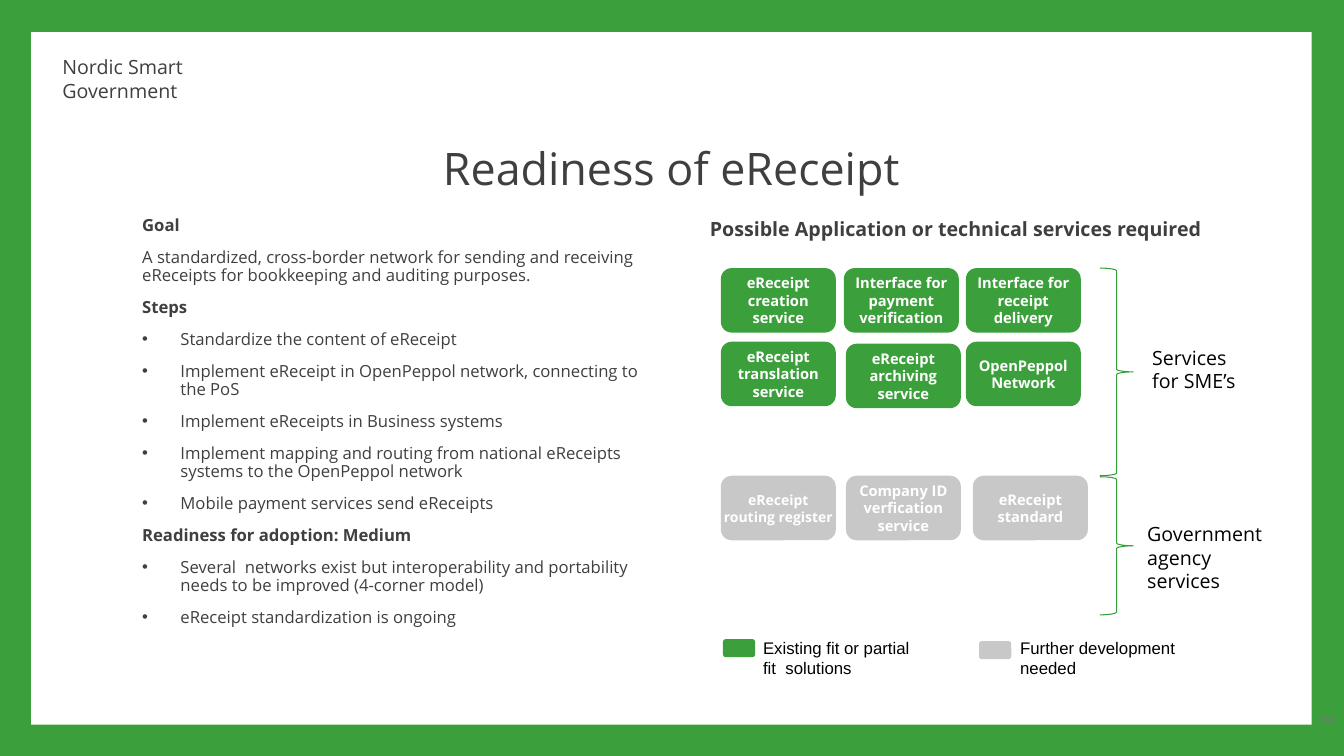
"""Build the eReceipt readiness slide."""
from lxml.etree import SubElement
from pptx import Presentation
from pptx.dml.color import RGBColor
from pptx.enum.shapes import MSO_SHAPE as SHAPE
from pptx.enum.text import MSO_ANCHOR as ANCHOR, MSO_AUTO_SIZE as FIT, PP_ALIGN as ALIGN
from pptx.oxml.ns import qn
from pptx.util import Pt

PX = 9144
GREEN = RGBColor(0x3B, 0xA0, 0x3B)
BRACE = RGBColor(0x36, 0x9E, 0x36)
GREY = RGBColor(0xC8, 0xC8, 0xC8)
INK = RGBColor(0x3F, 0x3F, 0x3F)
NUMBER = RGBColor(0x76, 0x76, 0x76)
BLACK = RGBColor(0, 0, 0)
WHITE = RGBColor(0xFF, 0xFF, 0xFF)

LIST = [
    ("head", "Goal"),
    ("text", "A standardized, cross-border network for sending and receiving "
             "eReceipts for bookkeeping and auditing purposes."),
    ("head", "Steps"),
    ("bullet", "Standardize the content of eReceipt"),
    ("bullet", "Implement eReceipt in OpenPeppol network, connecting to the PoS"),
    ("bullet", "Implement eReceipts in Business systems"),
    ("bullet", "Implement mapping and routing from national eReceipts systems "
               "to the OpenPeppol network"),
    ("bullet", "Mobile payment services send eReceipts"),
    ("head", "Readiness for adoption: Medium"),
    ("bullet", "Several  networks exist but interoperability and portability "
               "needs to be improved (4-corner model)"),
    ("bullet", "eReceipt standardization is ongoing"),
]
SERVICES = [
    (715, 266, GREEN, 10.5, "eReceipt creation service"),
    (837, 266, GREEN, 10.5, "Interface for payment verification"),
    (958, 266, GREEN, 10.5, "Interface for receipt delivery"),
    (715, 339, GREEN, 10.5, "eReceipt translation service"),
    (839, 341, GREEN, 10.5, "eReceipt archiving service"),
    (958, 339, GREEN, 10.5, "OpenPeppol Network"),
    (715, 472, GREY, 10, "eReceipt\nrouting register"),
    (839, 472, GREY, 10.5, "Company ID verfication service"),
    (965, 472, GREY, 10.5, "eReceipt standard"),
]
GROUPS = [
    (266, 206, (1133, 338, 123, 57), "Services for SME’s"),
    (473, 137, (1128, 513, 154, 81), "Government agency services"),
]
LEGEND = [
    (717, 634, 747, GREEN, "Existing fit or partial\nfit  solutions"),
    (971, 636, 1002, GREY, "Further development needed"),
]


def emu(*lengths):
    """Turn px lengths into EMU."""
    return [n * PX for n in lengths]


def write(p, text, size=14, color=INK, bold=False, font="Open Sans", align=ALIGN.LEFT):
    """Fill a paragraph with formatted text, breaking lines at newlines."""
    p.alignment = align
    for i, line in enumerate(text.split("\n")):
        if i:
            p.add_line_break()
        r = p.add_run()
        r.text = line
        r.font.size, r.font.bold, r.font.name = Pt(size), bold, font
        r.font.color.rgb = color


def add_label(s, box, text, **fmt):
    """Add a wrapping text box."""
    tf = s.shapes.add_textbox(*emu(*box)).text_frame
    tf.word_wrap = True
    write(tf.paragraphs[0], text, **fmt)


def add_block(s, kind, box, fill=None, line=None):
    """Add a flat preset shape."""
    sp = s.shapes.add_shape(kind, *emu(*box))
    sp.shadow.inherit = False
    if fill is None:
        sp.fill.background()
    else:
        sp.fill.solid()
        sp.fill.fore_color.rgb = fill
    if line is None:
        sp.line.fill.background()
    else:
        sp.line.color.rgb, sp.line.width = line, Pt(0.75)
    return sp


def add_service(s, x, y, fill, size, text):
    """Add a service box with its name."""
    tf = add_block(s, SHAPE.ROUNDED_RECTANGLE, (x, y, 114, 64), fill).text_frame
    tf.margin_left = tf.margin_right = tf.margin_top = tf.margin_bottom = 0
    tf.vertical_anchor = ANCHOR.MIDDLE
    tf.word_wrap = "\n" not in text
    write(tf.paragraphs[0], text, size=size, color=WHITE, bold=True, align=ALIGN.CENTER)


def place(sp, box, anchor=ANCHOR.TOP):
    """Move a placeholder and return its text frame."""
    sp.left, sp.top, sp.width, sp.height = emu(*box)
    tf = sp.text_frame
    tf.auto_size, tf.vertical_anchor, tf.word_wrap = FIT.NONE, anchor, True
    return tf


def fill_list(tf, items, size, spacing):
    """Write headings, text and bullets into a body placeholder."""
    for i, (kind, text) in enumerate(items):
        p = tf.add_paragraph() if i else tf.paragraphs[0]
        p.space_before, p.line_spacing = Pt(10), spacing
        write(p, text, size=size, bold=kind == "head")
        bullet = kind == "bullet"
        pPr = p._p.get_or_add_pPr()
        margin, indent = emu(50, -38) if bullet else emu(12, 0)
        pPr.set("marL", str(margin))
        pPr.set("indent", str(indent))
        if bullet:
            SubElement(pPr, qn("a:buChar")).set("char", "•")
        else:
            SubElement(pPr, qn("a:buNone"))


def main():
    """Build and save the slide."""
    prs = Presentation()
    prs.slide_width, prs.slide_height = emu(1333, 750)
    s = prs.slides.add_slide(prs.slide_layouts[3])
    s.background.fill.solid()
    s.background.fill.fore_color.rgb = GREEN
    page = add_block(s, SHAPE.RECTANGLE, (31, 32, 1270, 687), WHITE)
    s.shapes._spTree.insert(2, page._element)

    title, left, right = s.placeholders
    tf = place(title, (178, 111, 976, 87), ANCHOR.BOTTOM)
    write(tf.paragraphs[0], "Readiness of eReceipt", size=32, align=ALIGN.CENTER)
    fill_list(place(left, (119, 210, 532, 442)), LIST, 11.9, 0.9)
    heading = [("head", "Possible Application or technical services required")]
    fill_list(place(right, (682, 210, 533, 442)), heading, 14, 1.0)
    add_label(s, (52, 50, 150, 57), "Nordic Smart\nGovernment")

    for service in SERVICES:
        add_service(s, *service)
    for y, height, box, text in GROUPS:
        add_block(s, SHAPE.RIGHT_BRACE, (1091, y, 33, height), line=BRACE)
        add_label(s, box, text, color=BLACK)
    for x, y, text_x, fill, text in LEGEND:
        add_block(s, SHAPE.ROUNDED_RECTANGLE, (x, y, 32, 18), fill)
        add_label(s, (text_x, 628, 183, 34), text, size=12, color=BLACK, font="Arial")
    add_label(s, (1283, 703, 50, 28), "14", size=8, color=NUMBER, bold=True,
              align=ALIGN.RIGHT)
    prs.save("out.pptx")


if __name__ == "__main__":
    main()
